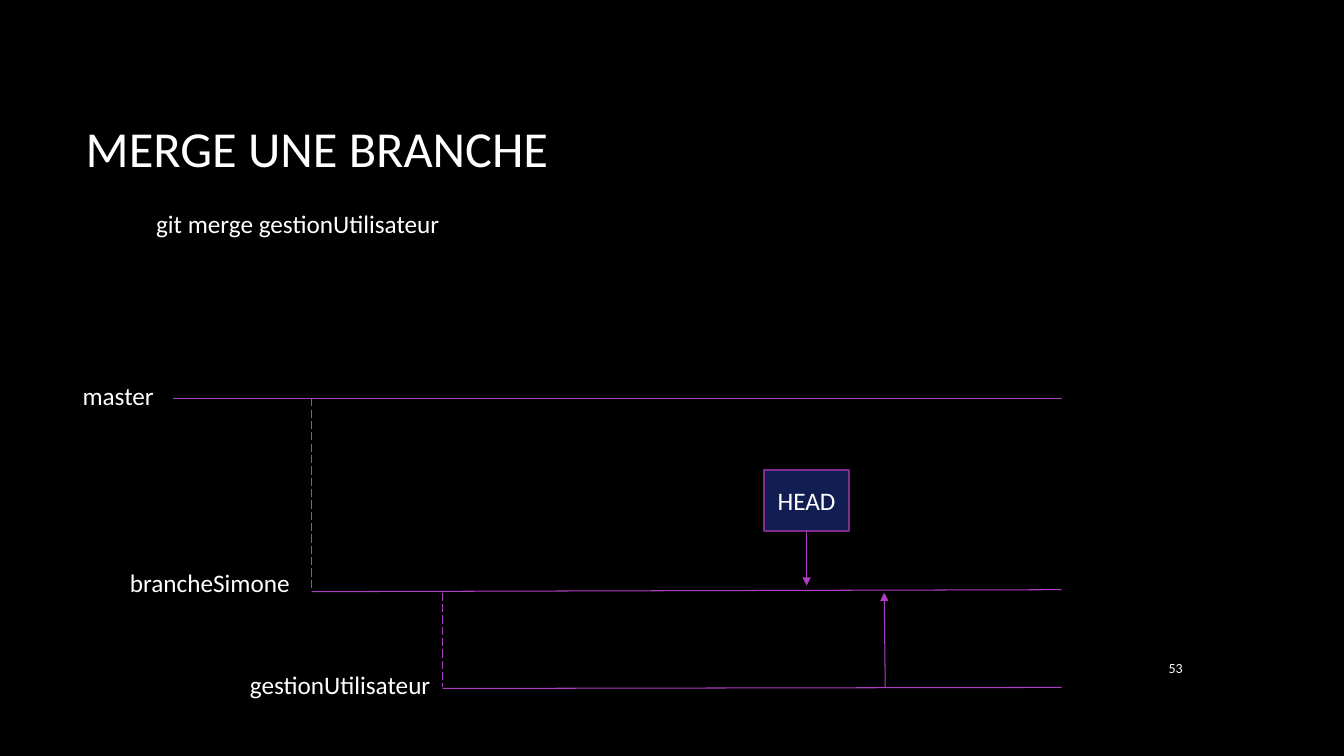
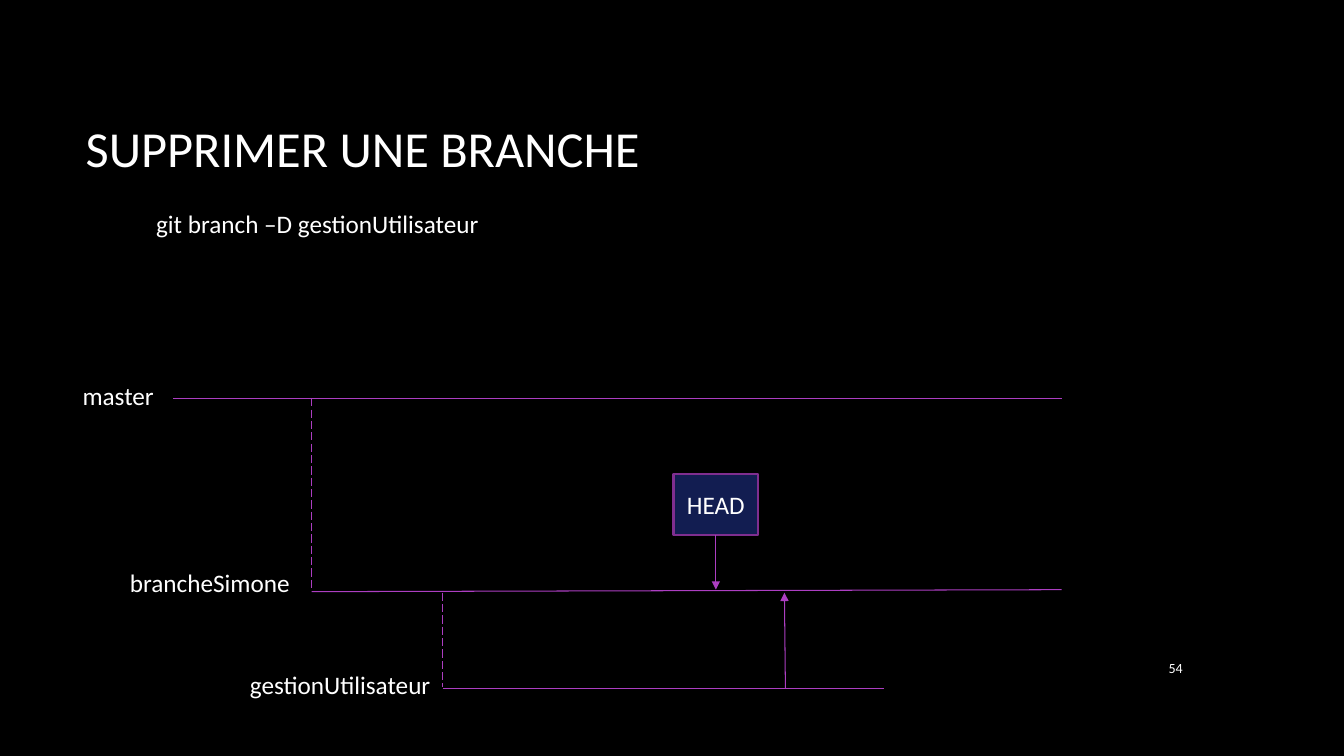
from dataclasses import dataclass
from typing import NamedTuple

from pptx import Presentation
from pptx.dml.color import RGBColor
from pptx.enum.dml import MSO_LINE
from pptx.enum.shapes import MSO_CONNECTOR, MSO_SHAPE
from pptx.enum.text import MSO_ANCHOR, MSO_AUTO_SIZE, PP_ALIGN
from pptx.oxml.ns import qn
from pptx.util import Pt
from lxml import etree

EMU_PER_PX = 9144
TITLE_ONLY = 5
LEFT, CENTER, RIGHT = PP_ALIGN.LEFT, PP_ALIGN.CENTER, PP_ALIGN.RIGHT
TOP, MIDDLE = MSO_ANCHOR.TOP, MSO_ANCHOR.MIDDLE
STRAIGHT = MSO_CONNECTOR.STRAIGHT
RECTANGLE = MSO_SHAPE.RECTANGLE
LONG_DASH = MSO_LINE.LONG_DASH
NO_AUTOFIT = MSO_AUTO_SIZE.NONE


@dataclass(frozen=True)
class Theme:
    font: str = "Calibri"
    background: RGBColor = RGBColor(0x00, 0x00, 0x00)
    text: RGBColor = RGBColor(0xFF, 0xFF, 0xFF)
    branch: RGBColor = RGBColor(0xAC, 0x3E, 0xC1)
    head_fill: RGBColor = RGBColor(0x12, 0x1D, 0x51)
    head_line: RGBColor = RGBColor(0x7F, 0x2E, 0x8F)
    title_size: int = 36
    body_size: int = 18
    number_size: int = 10
    branch_width: float = 0.75
    head_width: float = 1.5


class Box(NamedTuple):
    left: int
    top: int
    width: int
    height: int

    def inner(self, left, top, width, height):
        """Box whose position is given relative to this one."""
        return Box(self.left + left, self.top + top, width, height)


class BranchState(NamedTuple):
    """What differs between two branch diagrams, in px within the diagram."""
    head: tuple
    merge_x: int
    feature_end: tuple


THEME = Theme()
PAGE = Box(0, 0, 1333, 750)
TITLE = Box(75, 67, 1108, 159)
COMMAND = Box(145, 179, 875, 86)
NUMBER = Box(1123, 642, 60, 41)
DIAGRAM = Box(72, 395, 981, 288)

MASTER_Y, BRANCH_Y, FEATURE_Y = 0, 192, 288
MASTER_X, BRANCH_X, FEATURE_X = 100, 237, 367
HEAD_WIDTH, HEAD_HEIGHT, HEAD_ARROW = 84, 61, 54
LABELS = (
    ("master", (0, -23, 92, 40)),
    ("brancheSimone", (47, 163, 181, 40)),
    ("gestionUtilisateur", (166, 264, 201, 40)),
)
SLIDES = (
    ("MERGE UNE BRANCHE", "git merge gestionUtilisateur",
     BranchState(head=(686, 71), merge_x=805, feature_end=(981, 287))),
    ("SUPPRIMER UNE BRANCHE", "git branch –D gestionUtilisateur",
     BranchState(head=(596, 75), merge_x=706, feature_end=(805, 288))),
)
FIRST_NUMBER = 53


def emu(*lengths):
    return [length * EMU_PER_PX for length in lengths]


def write(shape, text, size, align=LEFT, anchor=MIDDLE, wrap=True):
    frame = shape.text_frame
    frame.text = text
    frame.word_wrap = wrap
    frame.auto_size = NO_AUTOFIT
    frame.vertical_anchor = anchor
    para = frame.paragraphs[0]
    para.alignment = align
    font = para.runs[0].font
    font.name = THEME.font
    font.size = Pt(size)
    font.color.rgb = THEME.text


def add_text(page, box, text, size, **style):
    write(page.shapes.add_textbox(*emu(*box)), text, size, **style)


def add_line(page, area, start, end, dashed=False, arrow=False):
    """Line between two points given relative to the area."""
    points = [area.left + start[0], area.top + start[1],
              area.left + end[0], area.top + end[1]]
    connector = page.shapes.add_connector(STRAIGHT, *emu(*points))
    connector.line.color.rgb = THEME.branch
    connector.line.width = Pt(THEME.branch_width)
    if dashed:
        connector.line.dash_style = LONG_DASH
    if arrow:
        outline = connector.line._get_or_add_ln()
        etree.SubElement(outline, qn("a:tailEnd"), type="triangle")
    etree.SubElement(connector._element.spPr, qn("a:effectLst"))


def add_title(page, box, text):
    title = page.shapes.title
    title.left, title.top, title.width, title.height = emu(*box)
    write(title, text, THEME.title_size)


def add_head(page, area, position):
    """HEAD marker with its arrow down to the current branch."""
    left, top = position
    box = area.inner(left, top, HEAD_WIDTH, HEAD_HEIGHT)
    head = page.shapes.add_shape(RECTANGLE, *emu(*box))
    head.shadow.inherit = False
    head.fill.solid()
    head.fill.fore_color.rgb = THEME.head_fill
    head.line.color.rgb = THEME.head_line
    head.line.width = Pt(THEME.head_width)
    write(head, "HEAD", THEME.body_size, align=CENTER)
    middle, bottom = left + HEAD_WIDTH // 2, top + HEAD_HEIGHT
    add_line(page, area, (middle, bottom), (middle, bottom + HEAD_ARROW), arrow=True)


def add_diagram(page, area, state):
    for text, place in LABELS:
        add_text(page, area.inner(*place), text, THEME.body_size,
                 anchor=TOP, wrap=False)
    add_line(page, area, (MASTER_X, MASTER_Y), (area.width, MASTER_Y))
    add_line(page, area, (BRANCH_X, BRANCH_Y), (area.width, BRANCH_Y - 2))
    add_line(page, area, (FEATURE_X, FEATURE_Y), state.feature_end)
    add_line(page, area, (BRANCH_X, MASTER_Y), (BRANCH_X, BRANCH_Y - 2), dashed=True)
    add_line(page, area, (FEATURE_X, BRANCH_Y + 1), (FEATURE_X, FEATURE_Y - 1),
             dashed=True)
    add_head(page, area, state.head)
    add_line(page, area, (state.merge_x + 1, state.feature_end[1]),
             (state.merge_x, BRANCH_Y + 1), arrow=True)


def add_branch_slide(deck, number, title, command, state):
    page = deck.slides.add_slide(deck.slide_layouts[TITLE_ONLY])
    add_title(page, TITLE, title)
    add_text(page, COMMAND, command, THEME.body_size)
    add_text(page, NUMBER, str(number), THEME.number_size, align=RIGHT)
    add_diagram(page, DIAGRAM, state)


def main():
    deck = Presentation()
    deck.slide_width, deck.slide_height = emu(PAGE.width, PAGE.height)
    backdrop = deck.slide_master.background.fill
    backdrop.solid()
    backdrop.fore_color.rgb = THEME.background
    for number, content in enumerate(SLIDES, FIRST_NUMBER):
        add_branch_slide(deck, number, *content)
    deck.save("out.pptx")


if __name__ == "__main__":
    main()
